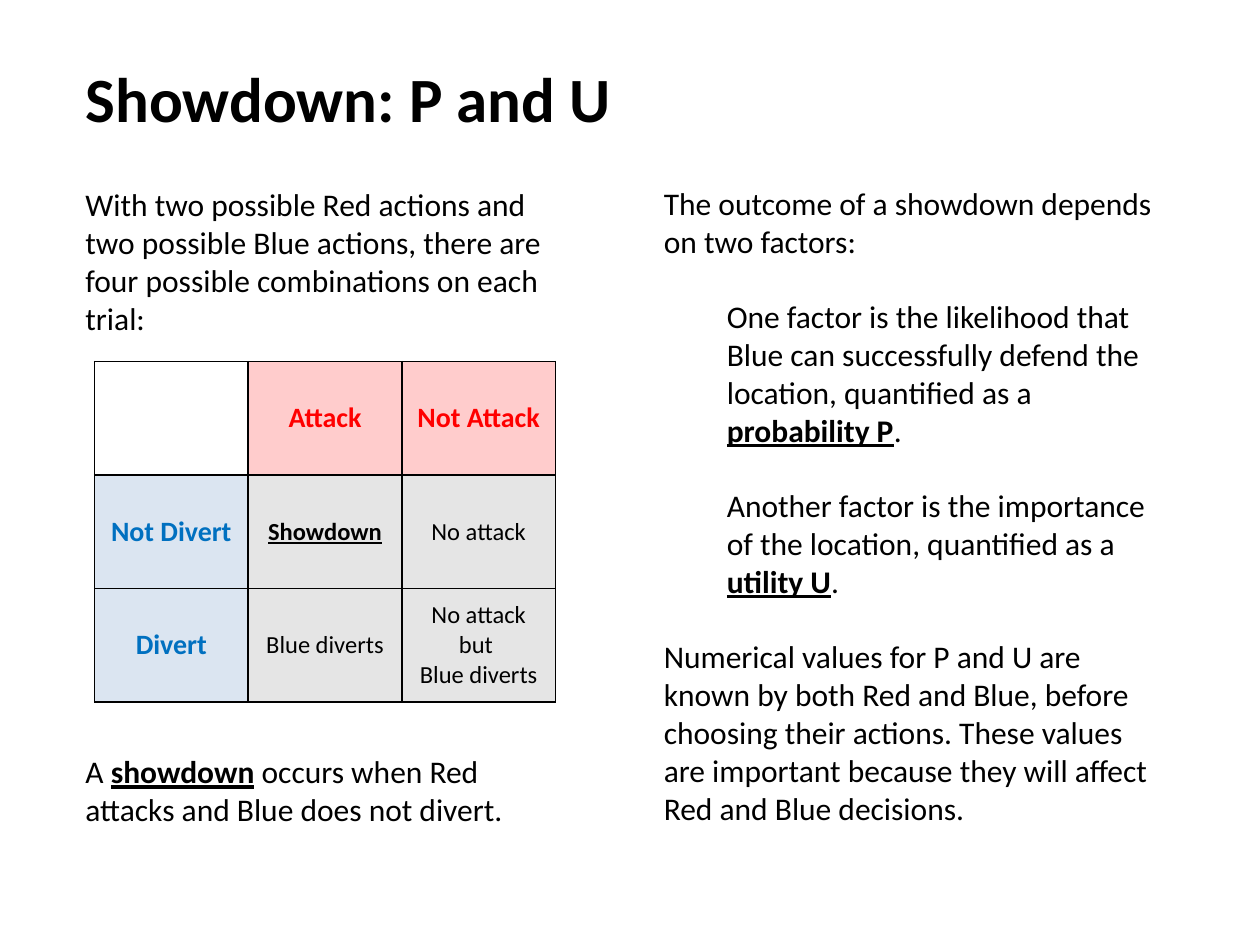
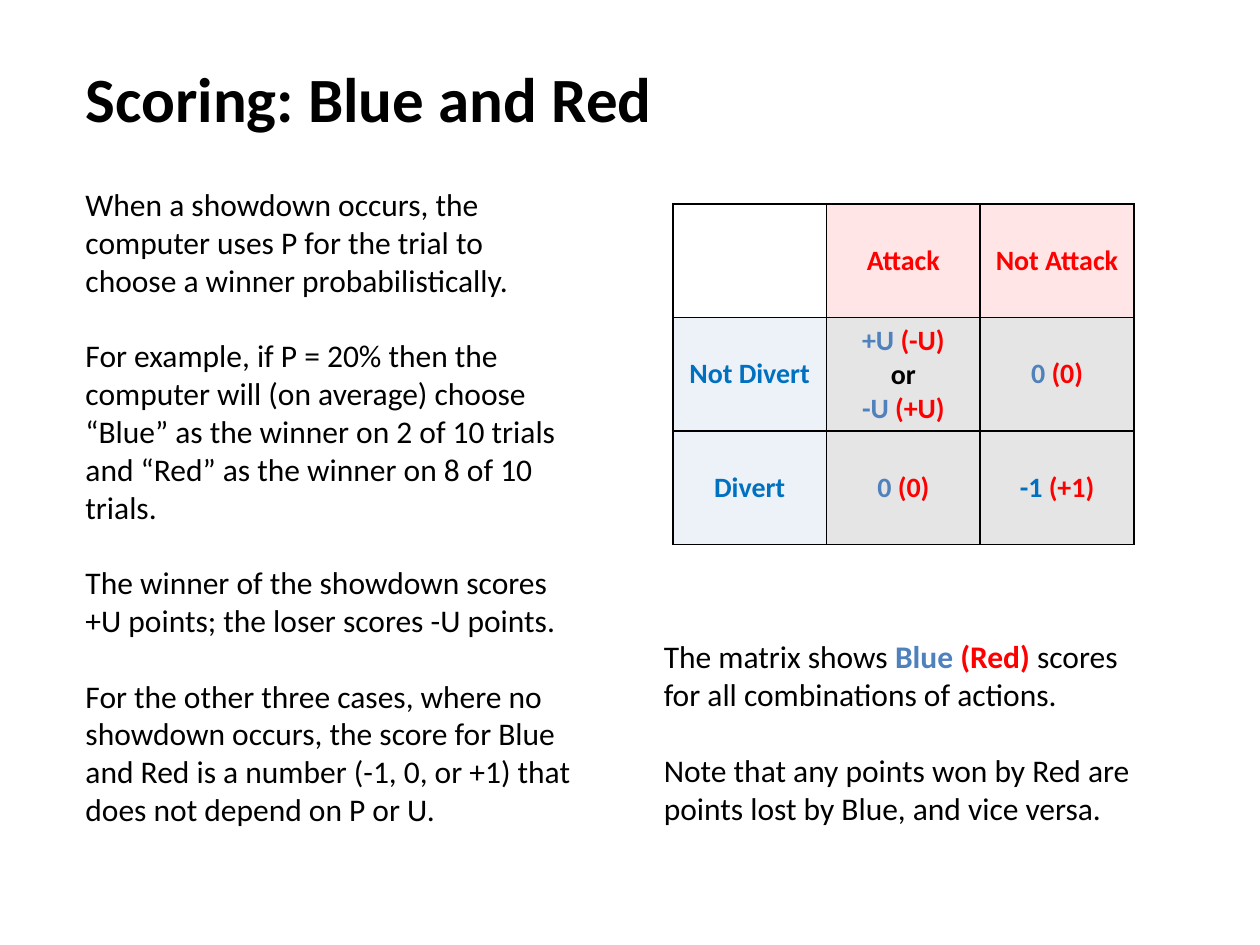
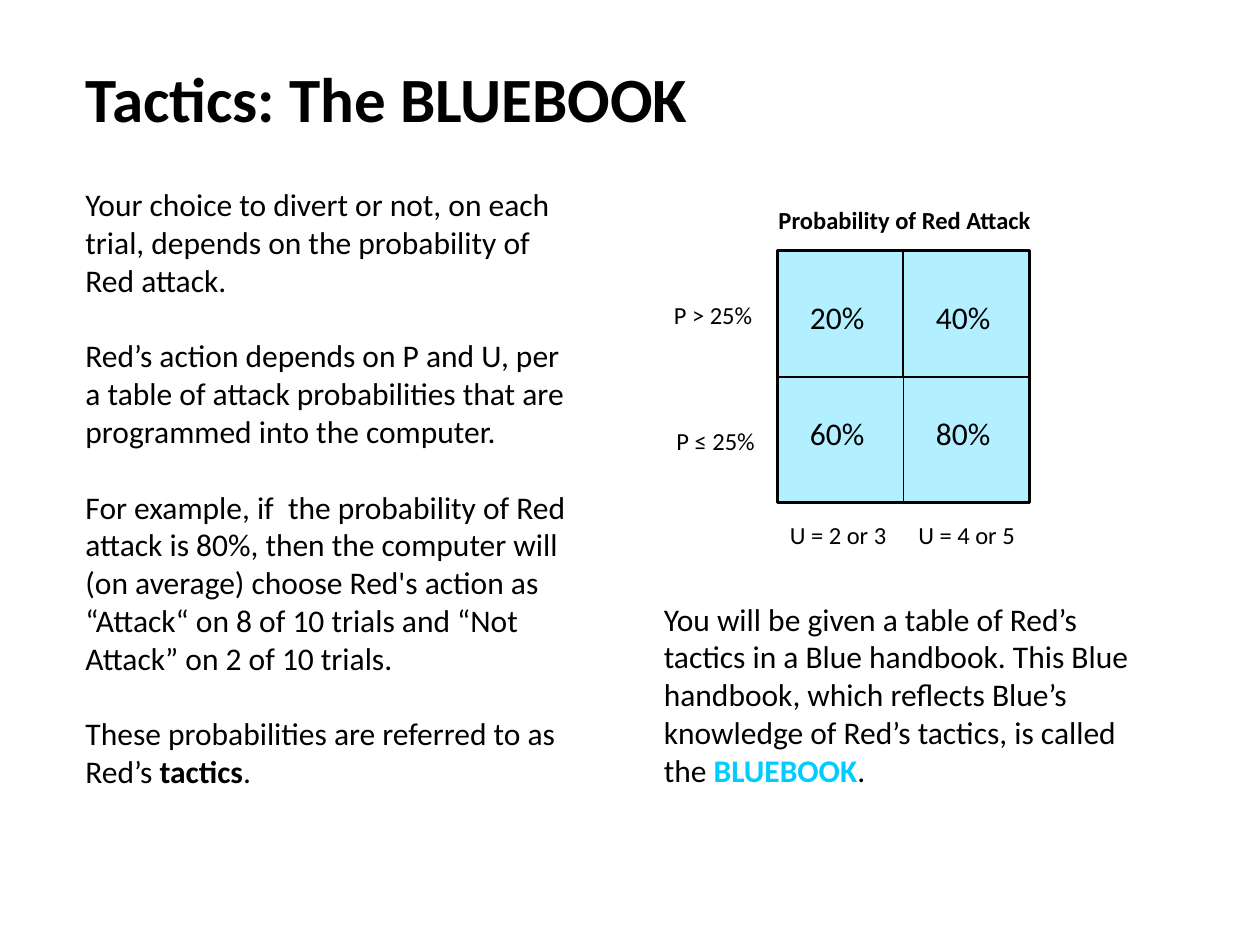
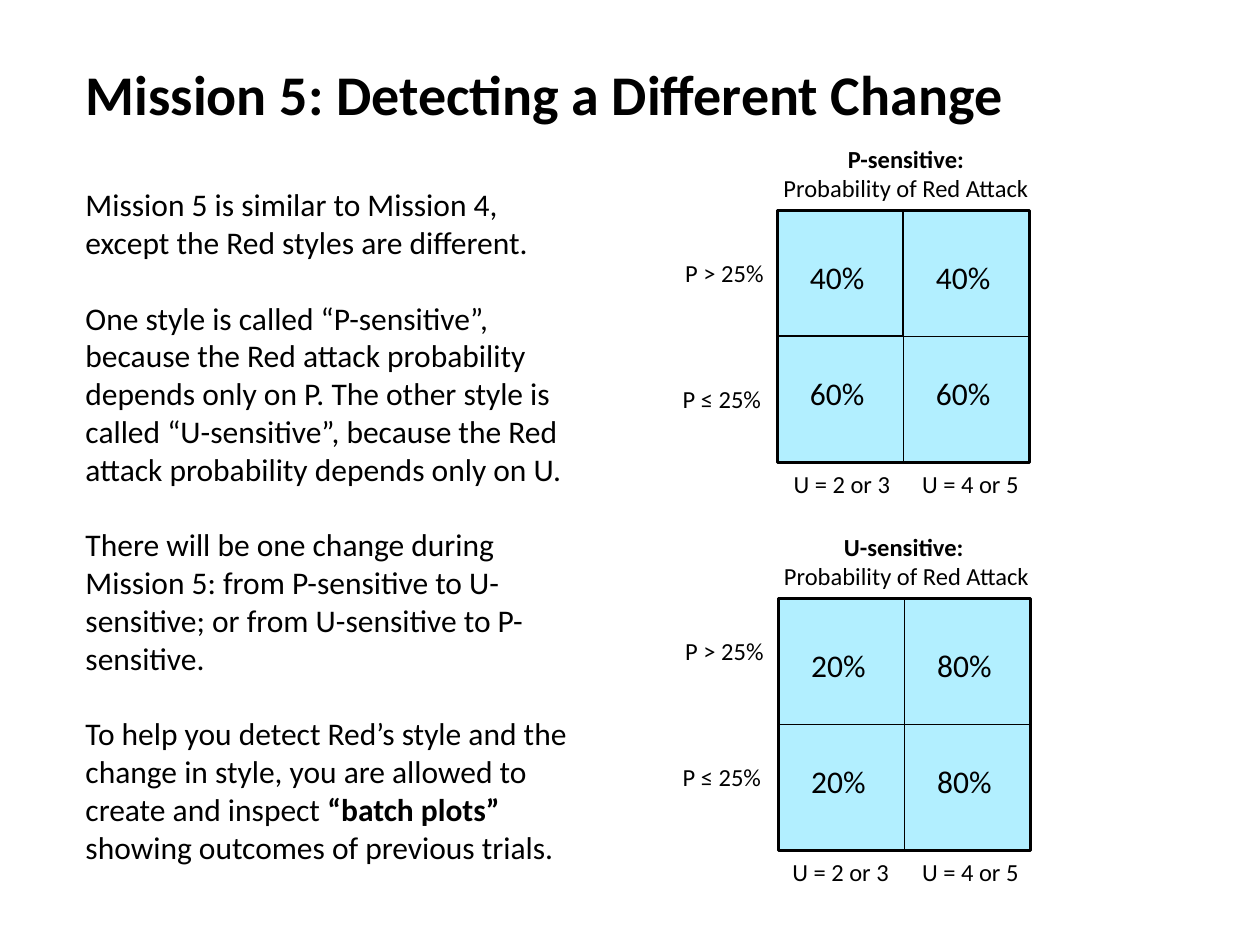
from dataclasses import dataclass
from typing import Any, NamedTuple

from lxml.etree import SubElement
from pptx import Presentation
from pptx.dml.color import RGBColor
from pptx.enum.shapes import MSO_SHAPE as Preset
from pptx.enum.text import MSO_ANCHOR as Anchor, MSO_AUTO_SIZE as AutoSize, PP_ALIGN as Align
from pptx.oxml.ns import qn
from pptx.util import Inches, Pt

# Shared style
FONT = "Calibri"
COLORS = {
    "black": "000000",
    "red": "FF0000",
    "blue": "0070C0",
    "steel": "4F81BD",
    "cyan": "00CCFF",
}
BODY_SIZE, LABEL_SIZE, HEADER_SIZE = 18, 14, 16
BLANK_LINE = 21.6  # points, one empty line of body text
LEFT_COLUMN, RIGHT_COLUMN = 0.58, 5.17
COLUMN_WIDTH = 4.08
CELL_WIDTH, CELL_HEIGHT = 1.22, 0.9


# Content types
class Run(NamedTuple):
    text: str
    color: str = "black"
    bold: bool = False
    underline: bool = False


class Para(NamedTuple):
    runs: list[Run]
    blank_lines: int = 0
    indent: float = 0


class Box(NamedTuple):
    left: float
    top: float
    width: float
    height: float


class Cell(NamedTuple):
    lines: list[list[Run]]
    tint: str
    opacity: int
    size: int = HEADER_SIZE


@dataclass
class AttackGrid:
    """Attack probabilities by P (rows) and U (columns)."""
    left: float
    top: float
    chances: list[list[str]]
    caption: list[Run]
    caption_box: Box
    caption_align: Any
    p_lefts: tuple[float, float]
    p_top: float
    u_lefts: tuple[float, float]
    u_top: float


def key(text: str) -> Run:
    return Run(text, bold=True, underline=True)


def story(*entries: list[Run]) -> list[Para]:
    """Paragraphs set one empty line apart."""
    return [Para(runs, 1 if i else 0) for i, runs in enumerate(entries)]


# Drawing helpers
def rgb(name: str) -> RGBColor:
    return RGBColor.from_string(COLORS[name])


def set_opacity(properties: Any, percent: int) -> None:
    color = properties.find(qn("a:solidFill"))[0]
    SubElement(color, qn("a:alpha")).set("val", str(percent * 1000))


def add_runs(paragraph: Any, runs: list[Run], size: int) -> None:
    for item in runs:
        run = paragraph.add_run()
        run.text = item.text
        formats = {"name": FONT, "size": Pt(size), "bold": item.bold, "underline": item.underline}
        for name, value in formats.items():
            setattr(run.font, name, value)
        run.font.color.rgb = rgb(item.color)


def fill_frame(frame: Any, paras: list[Para], size: int, align: Any = Align.LEFT) -> None:
    for i, para in enumerate(paras):
        paragraph = frame.paragraphs[0] if i == 0 else frame.add_paragraph()
        paragraph.alignment = align
        if para.indent:
            paragraph._p.get_or_add_pPr().set("marL", str(Inches(para.indent)))
        if para.blank_lines:
            paragraph.space_before = Pt(para.blank_lines * BLANK_LINE)
        add_runs(paragraph, para.runs, size)


def add_text(shapes: Any, box: Box, paras: list[Para], size: int,
             wrap: bool = False, align: Any = Align.LEFT) -> None:
    frame = shapes.add_textbox(*map(Inches, box)).text_frame
    frame.word_wrap = wrap
    frame.auto_size = AutoSize.SHAPE_TO_FIT_TEXT
    fill_frame(frame, paras, size, align)


def add_column(slide: Any, left: float, top: float, height: float, paras: list[Para]) -> None:
    add_text(slide.shapes, Box(left, top, COLUMN_WIDTH, height), paras, BODY_SIZE, wrap=True)


def add_titled_slide(deck: Any, text: str, width: float, height: float = 0.71, size: int = 36) -> Any:
    slide = deck.slides.add_slide(deck.slide_layouts[5])
    title = slide.shapes.title
    place = dict(left=LEFT_COLUMN, top=0.42, width=width, height=height)
    for name, value in place.items():
        setattr(title, name, Inches(value))
    frame = title.text_frame
    frame_formats = {"word_wrap": False, "auto_size": AutoSize.NONE, "vertical_anchor": Anchor.TOP}
    for name, value in frame_formats.items():
        setattr(frame, name, value)
    fill_frame(frame, [Para([Run(text, bold=True)])], size)
    return slide


def add_borders(properties: Any) -> None:
    for side in ("lnL", "lnR", "lnT", "lnB"):
        line = SubElement(properties, qn(f"a:{side}"), w=str(Pt(1)))
        fill = SubElement(line, qn("a:solidFill"))
        SubElement(fill, qn("a:srgbClr"), val=COLORS["black"])


def add_matrix(slide: Any, left: float, top: float, rows: list[list[Cell | None]]) -> None:
    count = len(rows)
    table = slide.shapes.add_table(
        count, count, Inches(left), Inches(top),
        Inches(count * CELL_WIDTH), Inches(count * CELL_HEIGHT)).table
    table.first_row = table.horz_banding = False
    for column, row in zip(table.columns, table.rows):
        column.width, row.height = Inches(CELL_WIDTH), Inches(CELL_HEIGHT)
    for r, row in enumerate(rows):
        for c, content in enumerate(row):
            cell = table.cell(r, c)
            cell.vertical_anchor = Anchor.MIDDLE
            properties = cell._tc.get_or_add_tcPr()
            add_borders(properties)
            if content is None:
                cell.fill.background()
                continue
            cell.fill.solid()
            cell.fill.fore_color.rgb = rgb(content.tint)
            set_opacity(properties, content.opacity)
            paras = [Para(runs) for runs in content.lines]
            fill_frame(cell.text_frame, paras, content.size, Align.CENTER)


def action_matrix(opacity: int, outcomes: list[list[Cell]]) -> list[list[Cell | None]]:
    """Red actions across, Blue actions down, outcomes inside."""
    def header(text: str, color: str, tint: str) -> Cell:
        return Cell([[Run(text, color, True)]], tint, opacity)

    red_actions = [header(text, "red", "red") for text in ("Attack", "Not Attack")]
    blue_actions = [header(text, "blue", "steel") for text in ("Not Divert", "Divert")]
    return [[None, *red_actions]] + [[action, *row] for action, row in zip(blue_actions, outcomes)]


def outcome(*lines: Run) -> Cell:
    return Cell([[line] for line in lines], "black", 10, LABEL_SIZE)


def score(*lines: list[Run]) -> Cell:
    return Cell(list(lines), "black", 10)


def points(blue: str, red: str, color: str = "steel") -> list[Run]:
    return [Run(f"{blue} ", color, True), Run(f"({red})", "red", True)]


def add_square(shapes: Any, left: float, top: float, side: float, weight: float,
               tint: str | None = None) -> None:
    square = shapes.add_shape(Preset.RECTANGLE, *map(Inches, (left, top, side, side)))
    square.shadow.inherit = False
    square.line.color.rgb = rgb("black")
    square.line.width = Pt(weight)
    if tint:
        square.fill.solid()
        square.fill.fore_color.rgb = rgb(tint)
        set_opacity(square._element.spPr, 30)
    else:
        square.fill.background()


def add_attack_grid(shapes: Any, grid: AttackGrid) -> None:
    # Panel and its two diagonal quadrants
    add_square(shapes, grid.left, grid.top, 2, 2, "cyan")
    for step in range(2):
        add_square(shapes, grid.left + step, grid.top + step, 1, 1)

    # Chances
    for row_top, row in zip((0.33, 1.25), grid.chances):
        for c, chance in enumerate(row):
            box = Box(grid.left + 0.16 + c, grid.top + row_top, 0.64, 0.4)
            add_text(shapes, box, [Para([Run(chance)])], BODY_SIZE)

    # Axis labels and caption
    for i, text in enumerate(("P > 25%", "P ≤ 25%")):
        box = Box(grid.p_lefts[i], grid.p_top + i, 0.83, 0.34)
        add_text(shapes, box, [Para([Run(text)])], LABEL_SIZE)
    for left, text in zip(grid.u_lefts, ("U = 2 or 3", "U = 4 or 5")):
        add_text(shapes, Box(left, grid.u_top, 0.97, 0.34), [Para([Run(text)])], LABEL_SIZE)
    add_text(shapes, grid.caption_box, [Para([run]) for run in grid.caption],
             LABEL_SIZE, align=grid.caption_align)


# Slides
def build_showdown(deck: Any) -> None:
    slide = add_titled_slide(deck, "Showdown: P and U", 4.42)
    add_column(slide, LEFT_COLUMN, 1.42, 5.25, [
        Para([Run("With two possible Red actions and two possible Blue actions, there are four "
                  "possible combinations on each trial:")]),
        Para([Run("A "), key("showdown"),
              Run(" occurs when Red attacks and Blue does not divert.")], blank_lines=11),
    ])
    add_column(slide, RIGHT_COLUMN, 1.41, 5.25, [
        Para([Run("The outcome of a showdown depends on two factors:")]),
        Para([Run("One factor is the likelihood that Blue can successfully defend the location, "
                  "quantified as a "), key("probability P"), Run(".")], 1, 0.5),
        Para([Run("Another factor is the importance of the location, quantified as a "),
              key("utility U"), Run(".")], 1, 0.5),
        Para([Run("Numerical values for P and U are known by both Red and Blue, before choosing "
                  "their actions. These values are important because they will affect Red and "
                  "Blue decisions.")], 1),
    ])
    add_matrix(slide, 0.75, 2.87, action_matrix(20, [
        [outcome(key("Showdown")), outcome(Run("No attack"))],
        [outcome(Run("Blue diverts")), outcome(Run("No attack but "), Run("Blue diverts"))],
    ]))


def build_scoring(deck: Any) -> None:
    slide = add_titled_slide(deck, "Scoring: Blue and Red", 4.74)
    add_column(slide, LEFT_COLUMN, 1.42, 5.25, story(
        [Run("When a showdown occurs, the computer uses P for the trial to choose a winner "
             "probabilistically.")],
        [Run("For example, if P = 20% then the computer will (on average) choose “Blue” as the "
             "winner on 2 of 10 trials and “Red” as the winner on 8 of 10 trials.")],
        [Run("The winner of the showdown scores +U points; the loser scores -U points.")],
        [Run("For the other three cases, where no showdown occurs, the score for Blue and Red is "
             "a number (-1, 0, or +1) that does not depend on P or U.")],
    ))
    add_column(slide, RIGHT_COLUMN, 5.01, 1.6, story(
        [Run("The matrix shows "), *points("Blue", "Red"),
         Run(" scores for all combinations of actions.")],
        [Run("Note that any points won by Red are points lost by Blue, and vice versa.")],
    ))
    no_change = score(points("0", "0"))
    showdown = score(points("+U", "-U"), [Run("or", bold=True)], points("-U", "+U"))
    add_matrix(slide, 5.34, 1.62, action_matrix(10, [
        [showdown, no_change],
        [no_change, score(points("-1", "+1", "blue"))],
    ]))


def build_tactics(deck: Any) -> None:
    slide = add_titled_slide(deck, "Tactics: The BLUEBOOK", 5.03)
    add_column(slide, LEFT_COLUMN, 1.42, 5.55, story(
        [Run("Your choice to divert or not, on each trial, depends on the probability of Red "
             "attack.")],
        [Run("Red’s action depends on P and U, per a table of attack probabilities that are "
             "programmed into the computer.")],
        [Run("For example, if  the probability of Red attack is 80%, then the computer will (on "
             "average) choose Red's action as “Attack“ on 8 of 10 trials and “Not Attack” on 2 "
             "of 10 trials.")],
        [Run("These probabilities are referred to as Red’s "), Run("tactics", bold=True), Run(".")],
    ))
    add_column(slide, RIGHT_COLUMN, 4.71, 1.6, story(
        [Run("You will be given a table of Red’s tactics in a Blue handbook. This Blue handbook, "
             "which reflects Blue’s knowledge of Red’s tactics, is called the "),
         Run("BLUEBOOK", "cyan", True), Run(".")],
    ))
    add_attack_grid(slide.shapes.add_group_shape().shapes, AttackGrid(
        left=6.17, top=1.99, chances=[["20%", "40%"], ["60%", "80%"]],
        caption=[Run("Probability of Red Attack", bold=True)],
        caption_box=Box(6.08, 1.58, 2.22, 0.34), caption_align=Align.LEFT,
        p_lefts=(5.25, 5.27), p_top=2.33, u_lefts=(6.17, 7.19), u_top=4.08))


def build_mission(deck: Any) -> None:
    slide = add_titled_slide(deck, "Mission 5: Detecting a Different Change", 7.79, 0.64, 32)
    add_column(slide, LEFT_COLUMN, 1.42, 5.55, story(
        [Run("Mission 5 is similar to Mission 4, except the Red styles are different.")],
        [Run("One style is called “P-sensitive”, because the Red attack probability depends only "
             "on P. The other style is called “U-sensitive”, because the Red attack probability "
             "depends only on U.")],
        [Run("There will be one change during Mission 5: from P-sensitive to U-sensitive; or from "
             "U-sensitive to P-sensitive.")],
        [Run("To help you detect Red’s style and the change in style, you are allowed to create "
             "and inspect "), Run("“batch plots” ", bold=True),
         Run("showing outcomes of previous trials.")],
    ))
    measure = Run("Probability of Red Attack")
    shared = dict(caption_align=Align.CENTER, p_lefts=(5.34, 5.32))
    p_sensitive = AttackGrid(
        left=6.17, top=1.67, chances=[["40%", "40%"], ["60%", "60%"]],
        caption=[Run("P-sensitive:", bold=True), measure],
        caption_box=Box(6.08, 1.09, 2.22, 0.57),
        p_top=2, u_lefts=(6.2, 7.22), u_top=3.67, **shared)
    u_sensitive = AttackGrid(
        left=6.18, top=4.75, chances=[["20%", "80%"], ["20%", "80%"]],
        caption=[Run("U-sensitive: ", bold=True), measure],
        caption_box=Box(6.11, 4.17, 2.17, 0.57),
        p_top=5, u_lefts=(6.19, 7.22), u_top=6.75, **shared)
    for grid in (p_sensitive, u_sensitive):
        add_attack_grid(slide.shapes, grid)


def main() -> None:
    deck = Presentation()
    deck.slide_width, deck.slide_height = Inches(10), Inches(7.5)
    for build in (build_showdown, build_scoring, build_tactics, build_mission):
        build(deck)
    deck.save("out.pptx")


if __name__ == "__main__":
    main()
